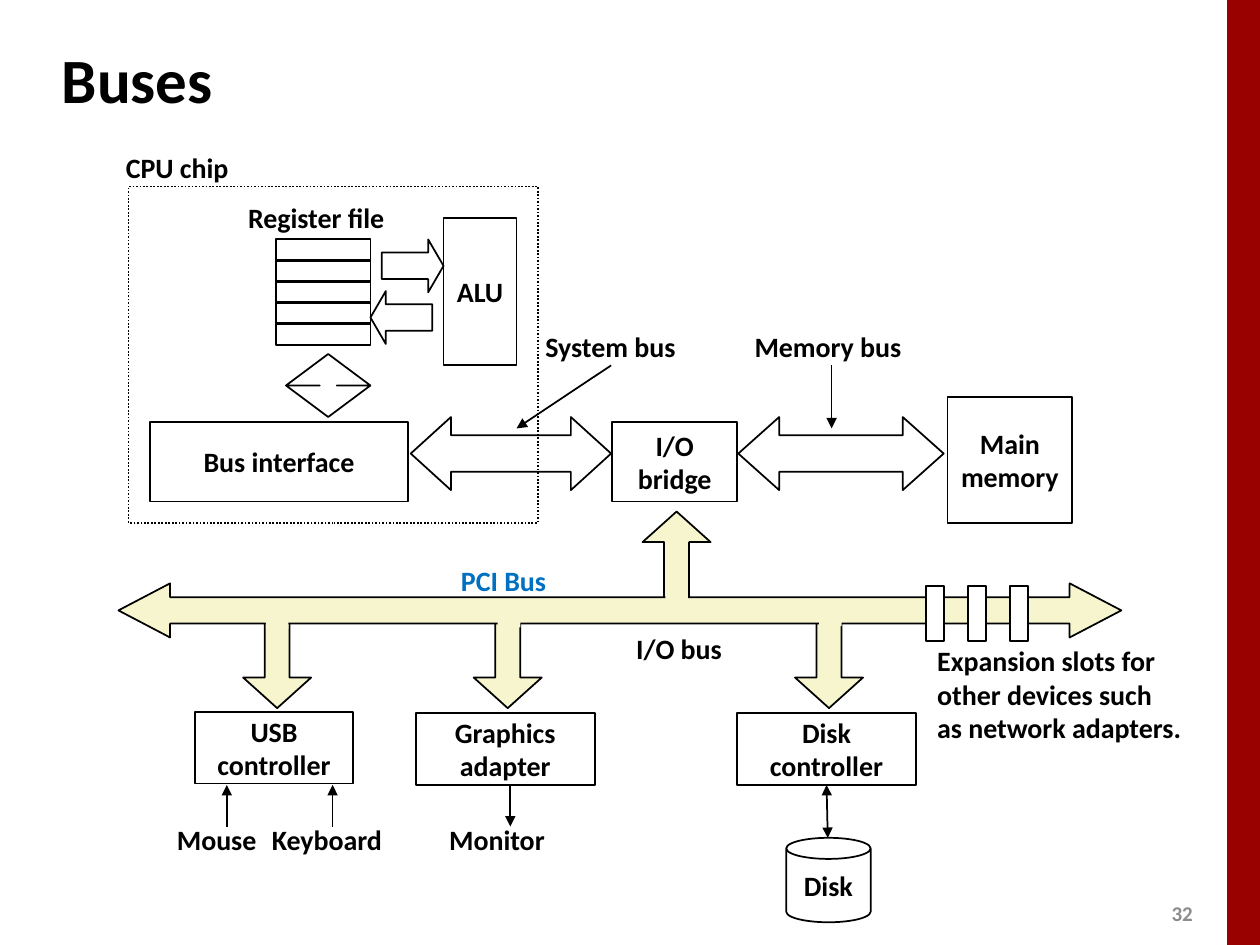
"""Build the slide on the buses that link CPU, memory and I/O devices."""
from typing import NamedTuple

from lxml import etree
from pptx import Presentation
from pptx.dml.color import RGBColor
from pptx.enum import dml, shapes, text
from pptx.oxml import ns
from pptx.util import Inches, Pt

KIND = shapes.MSO_SHAPE
ALIGN = text.PP_ALIGN
ANCHOR = text.MSO_ANCHOR
BLACK, WHITE, CREAM, RED = "000000", "FFFFFF", "F7F5CD", "990000"
BLUE, GREY = "0070C0", "8C8C8C"


class Box(NamedTuple):
    left: float
    top: float
    width: float
    height: float
    words: str = ""
    kind: int = KIND.RECTANGLE
    adj: tuple = ()
    fill: str = ""
    line: str = BLACK


class Label(NamedTuple):
    left: float
    top: float
    width: float
    words: str
    align: int = ALIGN.LEFT
    color: str = BLACK
    height: float = 0.37
    size: int = 16
    anchor: int = ANCHOR.MIDDLE


class Wire(NamedTuple):
    x: float
    y: float
    endx: float
    endy: float
    ends: tuple = ("tailEnd",)


def paint(target, color: str) -> None:
    target.rgb = RGBColor.from_string(color)


def write(frame, words: str, align: int, color: str = BLACK, size: int = 16) -> None:
    frame.text = words
    for para in frame.paragraphs:
        para.alignment = align
        for run in para.runs:
            run.font.name = "Calibri"
            run.font.size = Pt(size)
            run.font.bold = True
            paint(run.font.color, color)


def draw_box(slide, box: Box):
    shape = slide.shapes.add_shape(box.kind, *map(Inches, box[:4]))
    shape.shadow.inherit = False
    for i, value in enumerate(box.adj):
        shape.adjustments[i] = value
    if box.fill:
        shape.fill.solid()
        paint(shape.fill.fore_color, box.fill)
    else:
        shape.fill.background()
    if box.line:
        paint(shape.line.color, box.line)
        shape.line.width = Pt(1)
    else:
        shape.line.fill.background()
    if box.words:
        frame = shape.text_frame
        frame.word_wrap = False
        frame.vertical_anchor = ANCHOR.MIDDLE
        write(frame, box.words, ALIGN.CENTER)
    return shape


def draw_label(slide, label: Label) -> None:
    area = (label.left, label.top, label.width, label.height)
    frame = slide.shapes.add_textbox(*map(Inches, area)).text_frame
    frame.word_wrap = False
    frame.vertical_anchor = label.anchor
    write(frame, label.words, label.align, label.color, label.size)


def draw_wire(slide, wire: Wire):
    link = slide.shapes.add_connector(
        shapes.MSO_CONNECTOR.STRAIGHT, *map(Inches, wire[:4]))
    paint(link.line.color, BLACK)
    link.line.width = Pt(1)
    props = link.element.spPr
    for end in wire.ends:
        etree.SubElement(props.find(ns.qn("a:ln")), ns.qn("a:" + end), type="triangle")
    etree.SubElement(props, ns.qn("a:effectLst"))
    return link


def branch(left: float, top: float, kind: int) -> Box:
    return Box(left, top, 0.54, 0.75, kind=kind, adj=(0.367, 0.449), fill=CREAM)


def patch(left: float, top: float) -> Box:
    return Box(left, top, 0.18, 0.17, fill=CREAM, line="")


FRAME = Box(1.02, 1.48, 3.25, 2.67)
DISK = Box(5.85, 5.66, 1.42, 0.57, "Disk\ncontroller")
BOXES = [
    Box(9.74, 0, 0.26, 7.5, fill=RED, line=""),
    Box(7.52, 3.15, 0.99, 1, "Main\nmemory"),
    Box(5.86, 3.31, 1.63, 0.58, kind=KIND.LEFT_RIGHT_ARROW, adj=(0.5, 0.56)),
    Box(4.86, 3.35, 0.99, 0.63, "I/O\nbridge"),
    Box(3.26, 3.31, 1.59, 0.58, kind=KIND.LEFT_RIGHT_ARROW, adj=(0.5, 0.55)),
    Box(1.19, 3.35, 2.05, 0.63, "Bus interface"),
    *(Box(2.19, 1.9 + i / 6, 0.75, 0.17) for i in range(5)),
    Box(3.03, 1.9, 0.49, 0.42, kind=KIND.RIGHT_ARROW, adj=(0.5, 0.29)),
    Box(2.94, 2.31, 0.49, 0.42, kind=KIND.LEFT_ARROW, adj=(0.5, 0.29)),
    Box(3.52, 1.73, 0.58, 1.17, "ALU"),
    Box(2.27, 2.81, 0.67, 0.5, kind=KIND.UP_DOWN_ARROW, adj=(0.5, 0.2)),
    branch(5.1, 4.06, KIND.UP_ARROW),
    *(branch(x, 4.87, KIND.DOWN_ARROW) for x in (1.93, 3.76, 6.31)),
    Box(3.3, 5.66, 1.42, 0.57, "Graphics\nadapter"),
    Box(1.55, 5.65, 1.25, 0.57, "USB\ncontroller"),
    Box(6.24, 6.65, 0.67, 0.67, "Disk", KIND.CAN, (0.25,)),
    Box(0.94, 4.63, 7.96, 0.43, kind=KIND.LEFT_RIGHT_ARROW, adj=(0.486, 0.955),
        fill=CREAM),
    patch(2.11, 4.82), patch(3.95, 4.81), patch(6.5, 4.8), patch(5.28, 4.73),
    *(Box(7.35 + i / 3, 4.65, 0.14, 0.44, fill=WHITE) for i in range(3)),
]
LABELS = [
    Label(1.86, 1.54, 1.3, "Register file", ALIGN.CENTER),
    Label(0.9, 1.14, 1.03, "CPU chip"),
    Label(4.23, 2.56, 1.25, "System bus"),
    Label(5.89, 2.56, 1.38, "Memory bus"),
    Label(1.3, 6.48, 0.84, "Mouse", ALIGN.CENTER),
    Label(2.05, 6.48, 1.09, "Keyboard", ALIGN.CENTER),
    Label(3.46, 6.48, 0.97, "Monitor", ALIGN.CENTER),
    Label(4.95, 4.96, 0.89, "I/O bus"),
    Label(3.56, 4.42, 0.89, "PCI Bus", color=BLUE),
    Label(7.34, 5.06, 2.16,
          "Expansion slots for\nother devices such\nas network adapters.",
          height=1.18, anchor=ANCHOR.TOP),
    Label(9.2, 7.1, 0.4, "32", color=GREY, height=0.3, size=12),
]
WIRES = [
    Wire(4.85, 2.9, 4.1, 3.4),
    Wire(6.6, 2.9, 6.6, 3.4),
    Wire(1.8, 6.56, 1.8, 6.23),
    Wire(2.64, 6.56, 2.64, 6.23),
    Wire(4.05, 6.23, 4.05, 6.56),
]


def main() -> None:
    deck = Presentation()
    deck.slide_width, deck.slide_height = Inches(10), Inches(7.5)
    slide = deck.slides.add_slide(deck.slide_layouts[5])
    title = slide.shapes.title
    title.left, title.top = Inches(0.39), Inches(0.21)
    title.width, title.height = Inches(8.3), Inches(0.83)
    title.text_frame.vertical_anchor = ANCHOR.MIDDLE
    write(title.text_frame, "Buses", ALIGN.LEFT, size=36)

    for box in BOXES:
        draw_box(slide, box)
    draw_box(slide, FRAME).line.dash_style = dml.MSO_LINE.ROUND_DOT
    disk = draw_box(slide, DISK)
    for label in LABELS:
        draw_label(slide, label)
    for wire in WIRES:
        draw_wire(slide, wire)
    link = draw_wire(slide, Wire(6.56, 6.23, 6.57, 6.65, ("headEnd", "tailEnd")))
    link.begin_connect(disk, 2)
    deck.save("out.pptx")


if __name__ == "__main__":
    main()
